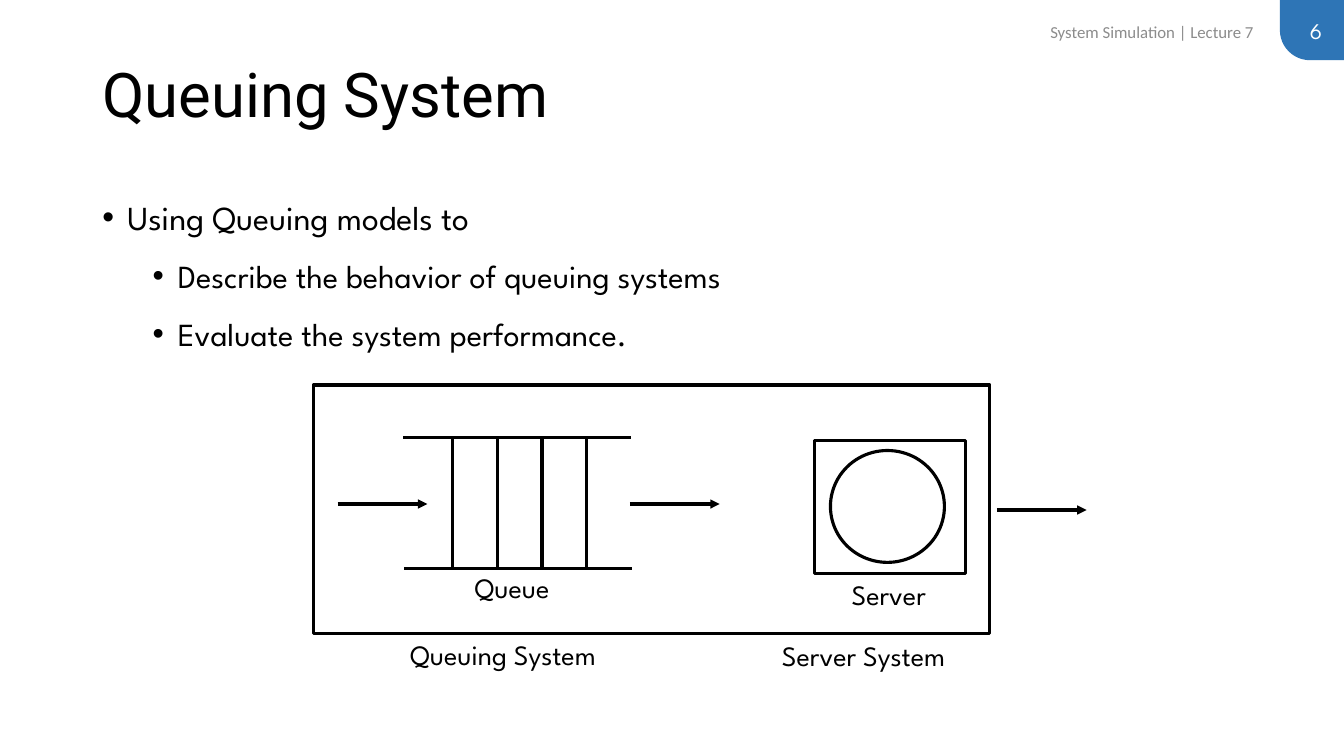
from lxml import etree
from pptx import Presentation
from pptx.dml.color import RGBColor
from pptx.enum.shapes import MSO_CONNECTOR, MSO_SHAPE
from pptx.enum.text import MSO_ANCHOR, PP_ALIGN
from pptx.oxml.ns import qn
from pptx.util import Pt

STRAIGHT = MSO_CONNECTOR.STRAIGHT
RECTANGLE, CIRCLE = MSO_SHAPE.RECTANGLE, MSO_SHAPE.OVAL
ROUND_CORNER = MSO_SHAPE.ROUND_1_RECTANGLE
TOP, MIDDLE = MSO_ANCHOR.TOP, MSO_ANCHOR.MIDDLE
LEFT, RIGHT = PP_ALIGN.LEFT, PP_ALIGN.RIGHT

COLORS = {"ink": "000000", "paper": "FFFFFF", "tab": "2E75B6", "muted": "8C8C8C"}
HEADING, BODY, SMALL = "Roboto", "League Spartan", "Calibri"
STROKE = 2.25


def color(name):
    return RGBColor.from_string(COLORS[name])


def add_run(paragraph, words, size, font, ink="ink"):
    run = paragraph.add_run()
    run.text = words
    run.font.size = Pt(size)
    run.font.name = font
    run.font.color.rgb = color(ink)


def add_frame(shapes, box, anchor=TOP, wrap=True):
    frame = shapes.add_textbox(*map(Pt, box)).text_frame
    frame.word_wrap = wrap
    frame.vertical_anchor = anchor
    return frame


def add_line_of_text(shapes, box, words, size, font, ink="ink",
                     align=LEFT, anchor=MIDDLE, wrap=True):
    paragraph = add_frame(shapes, box, anchor, wrap).paragraphs[0]
    paragraph.alignment = align
    add_run(paragraph, words, size, font, ink)
    return paragraph


def add_figure(shapes, kind, box, fill="paper", outlined=True):
    figure = shapes.add_shape(kind, *map(Pt, box))
    figure.shadow.inherit = False
    figure.fill.solid()
    figure.fill.fore_color.rgb = color(fill)
    if outlined:
        figure.line.color.rgb = color("ink")
        figure.line.width = Pt(STROKE)
    else:
        figure.line.fill.background()
    return figure


def add_stroke(shapes, x1, y1, x2, y2, arrow=False):
    stroke = shapes.add_connector(STRAIGHT, Pt(x1), Pt(y1), Pt(x2), Pt(y2))
    stroke.line.color.rgb = color("ink")
    stroke.line.width = Pt(STROKE)
    if arrow:
        etree.SubElement(stroke.line._get_or_add_ln(), qn("a:tailEnd"), type="triangle")
    etree.SubElement(stroke._element.spPr, qn("a:effectLst"))


def add_page_header(shapes, left, top, width, height):
    # Page tab in the corner, with the lecture name beside it
    tab = add_figure(shapes, ROUND_CORNER, (left, top, width, height), "tab", False)
    tab.adjustments[0] = 0.5
    tab.rotation = 180
    add_line_of_text(shapes, (left - 335.5, top + 8.6, 324, 28.8),
                     "System Simulation | Lecture 7", 12, SMALL, "muted", RIGHT)
    add_line_of_text(shapes, (left - 8.6, top + 7.2, width, 28.8),
                     "6", 16, BODY, "paper", RIGHT)


def add_title(shapes, box):
    title = add_line_of_text(shapes, box, "Queuing System", 44, HEADING)
    title.line_spacing = 0.9


def add_bullets(shapes, box):
    goals = [
        (0, "Using Queuing models to"),
        (1, "Describe the behavior of queuing systems"),
        (1, "Evaluate the system performance."),
    ]
    frame = add_frame(shapes, box)
    for number, (level, words) in enumerate(goals):
        paragraph = frame.add_paragraph() if number else frame.paragraphs[0]
        paragraph.level = level
        paragraph.line_spacing = 1.5
        props = paragraph._p.get_or_add_pPr()
        props.set("marL", str(Pt(18 + 36 * level)))
        props.set("indent", str(-Pt(18)))
        etree.SubElement(props, qn("a:buFont"), typeface="Arial")
        etree.SubElement(props, qn("a:buChar"), char="•")
        add_run(paragraph, words, 24 - level, BODY)


def add_queue(shapes, left, top, width, height):
    # Two rails with evenly spaced waiting places between them
    for shift, y in ((0, top), (0.7, top + height)):
        add_stroke(shapes, left + shift, y, left + shift + width, y)
    for place in range(4):
        x = left + 35.3 + 31.9 * place
        add_stroke(shapes, x, top + height, x, top)


def add_server(shapes, left, top, width, height):
    add_figure(shapes, RECTANGLE, (left, top, width, height))
    add_figure(shapes, CIRCLE, (left + 11.5, top + 7.2, 81.4, 79.9))


def add_diagram(shapes, left, top, width, height):
    parts = shapes.add_group_shape().shapes
    add_figure(parts, RECTANGLE, (left, top, width, height))
    add_server(parts, left + 357.8, top + 39.6, 108, 95)
    add_queue(parts, left + 64.1, top + 37.4, 162.7, 93.6)

    # Flow into the queue, on to the server, and out
    for x, y in ((17.3, 85), (226.1, 85), (488.2, 89.3)):
        add_stroke(parts, left + x, top + y, left + x + 64.1, top + y, arrow=True)

    labels = [
        ("Queue", 108, 128.9, 74.2),
        ("Server", 377.3, 133.9, 73.4),
        ("Server System", 327.6, 177.8, 146.2),
        ("Queuing System", 61.9, 177.1, 164.2),
    ]
    for words, x, y, span in labels:
        add_line_of_text(parts, (left + x, top + y, span, 31.7), words, 20, BODY,
                         anchor=TOP, wrap=False)


def main():
    deck = Presentation()
    deck.slide_width, deck.slide_height = Pt(960), Pt(540)
    shapes = deck.slides.add_slide(deck.slide_layouts[6]).shapes
    add_page_header(shapes, 914.2, 0, 45.8, 43)
    add_title(shapes, (66, 28.8, 828, 82))
    add_bullets(shapes, (66, 122.4, 828, 387.4))
    add_diagram(shapes, 223.9, 275, 483.1, 177.8)
    deck.save("out.pptx")


if __name__ == "__main__":
    main()
